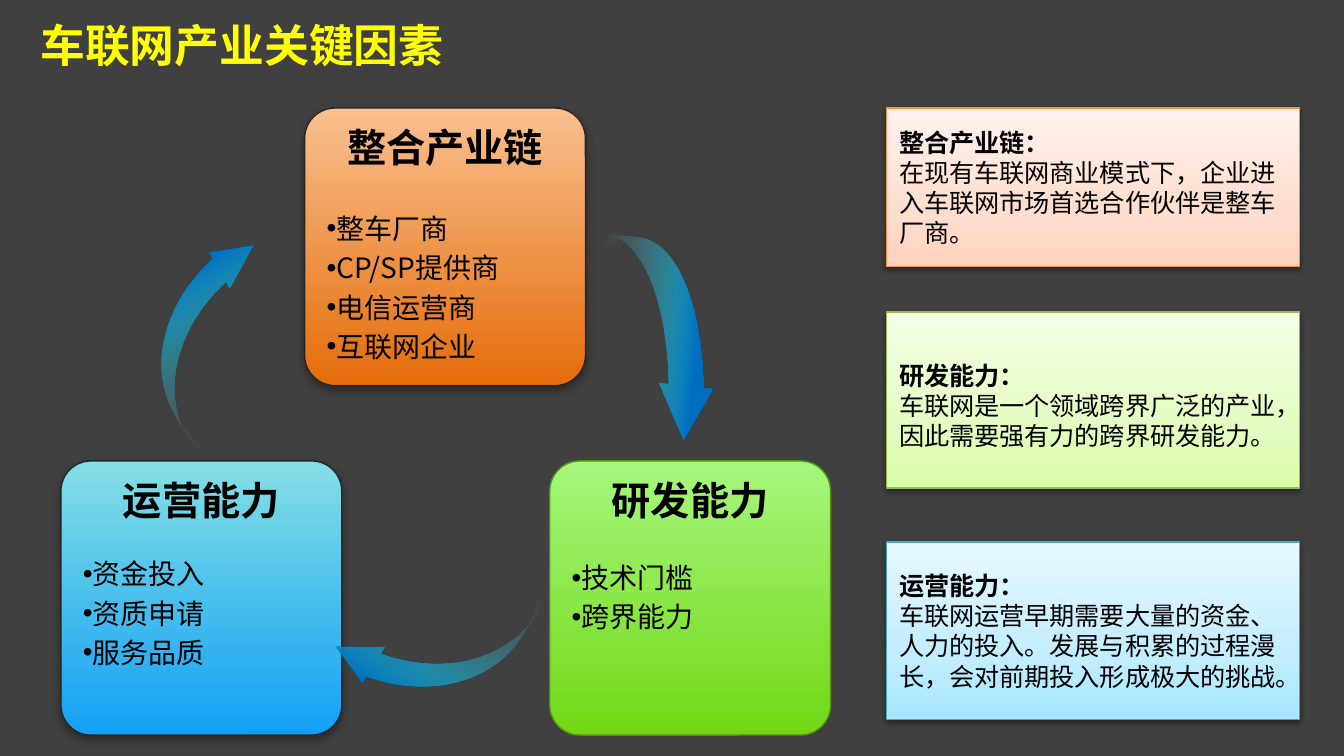
from lxml import etree
from pptx import Presentation, util as u
from pptx.dml.color import RGBColor
from pptx.enum import shapes, text
from pptx.oxml import parse_xml
from pptx.oxml.ns import nsdecls, qn

COLORS = {
    "back": "404040", "title": "FFFF00", "ink": "000000", "edge": "262626",
    "green edge": "4F950F", "orange rim": "F69240", "lime rim": "98B955",
    "sky rim": "46AAC5",
}
CJK = "Noto Sans CJK SC"
ORANGE = [(0, "E46C0A", 100), (100, "FAC090", 100)]
BLUE = [(0, "12A0F6", 100), (100, "84DFE4", 100)]
GREEN = [(0, "72D816", 100), (100, "A6F77D", 100)]
PEACH = [(0, "FFD2BD", 100), (35, "FFDED0", 100), (100, "FFF2ED", 100)]
LIME = [(0, "DAFDA7", 100), (35, "E4FCC2", 100), (100, "F5FFE7", 100)]
SKY = [(0, "A7E6FF", 100), (35, "C1EDFF", 100), (100, "E7F8FF", 100)]
FADE = [(18, "0070C0", 100), (34, "13D6FD", 42), (59, "7FD6FF", 0), (100, "E6E6E6", 0)]

deck = Presentation()
deck.slide_width = u.Inches(10)
deck.slide_height = deck.slide_width * 9 // 16
cell = deck.slide_width // 100  # square grid, 100 columns across
page = deck.slides.add_slide(deck.slide_layouts[5])
page.background.fill.solid()
page.background.fill.fore_color.rgb = RGBColor.from_string(COLORS["back"])


def add_gradient_shape(kind, area, stops, angle, edge=None, shadow=None):
    """Area is in grid cells, stops are (place, colour, opacity) in percent,
    shadow is (opacity in percent, blur and distance in points)."""
    shape = page.shapes.add_shape(kind, *[round(cell * n) for n in area])
    shape.shadow.inherit = False
    if edge:
        shape.line.color.rgb = RGBColor.from_string(COLORS[edge])
        shape.line.width = u.Pt(0.75)
    else:
        shape.line.fill.background()
    marks = "".join(
        f'<a:gs pos="{place * 1000}"><a:srgbClr val="{color}">'
        f'<a:alpha val="{alpha * 1000}"/></a:srgbClr></a:gs>'
        for place, color, alpha in stops)
    properties = shape._element.spPr
    properties.find(qn("a:prstGeom")).addnext(parse_xml(
        f'<a:gradFill {nsdecls("a")} rotWithShape="1"><a:gsLst>{marks}</a:gsLst>'
        f'<a:lin ang="{angle * 60000}" scaled="0"/></a:gradFill>'))
    if shadow:
        alpha, blur, distance = shadow
        properties.find(qn("a:effectLst")).append(parse_xml(
            f'<a:outerShdw {nsdecls("a")} blurRad="{u.Pt(blur)}" dist="{u.Pt(distance)}" '
            f'dir="5400000" rotWithShape="0"><a:srgbClr val="{COLORS["ink"]}">'
            f'<a:alpha val="{alpha * 1000}"/></a:srgbClr></a:outerShdw>'))
    return shape


def add_span(para, words, size, bold, font, color="ink"):
    span = para.add_run()
    span.text = words
    span.font.size, span.font.bold, span.font.name = u.Pt(size), bold, font
    span.font.color.rgb = RGBColor.from_string(COLORS[color])
    if font == CJK:
        etree.SubElement(span._r.rPr, qn("a:ea"), typeface=font)


title = page.shapes.title
title.left, title.top = cell * 2, round(cell * -0.2)
title.width, title.height = round(cell * 80.7), cell * 7
title.text_frame.vertical_anchor = text.MSO_ANCHOR.MIDDLE
para = title.text_frame.paragraphs[0]
para.alignment = text.PP_ALIGN.LEFT
add_span(para, "车联网产业关键因素", 24, True, CJK, "title")

# Cycle cards: area, fill, edge, shadow, heading, gap under heading, items
soft = (35, 5, 1.8)
cards = [
    ((22.66, 8.04, 20.9, 20.66), ORANGE, "edge", soft, "整合产业链", 22,
     ["整车厂商", "CP/SP提供商", "电信运营商", "互联网企业"]),
    ((4.53, 34.3, 20.9, 20.4), BLUE, "edge", soft, "运营能力", 18,
     ["资金投入", "资质申请", "服务品质"]),
    ((40.9, 34.3, 20.9, 20.4), GREEN, "green edge", None, "研发能力", 20,
     ["技术门槛", "跨界能力"]),
]
for area, stops, edge, shadow, heading, gap, items in cards:
    card = add_gradient_shape(shapes.MSO_SHAPE.ROUNDED_RECTANGLE, area, stops, 270,
                              edge, shadow)
    card.adjustments[0] = 0.11
    frame = card.text_frame
    frame.word_wrap = True
    frame.vertical_anchor = text.MSO_ANCHOR.TOP
    para = frame.paragraphs[0]
    para.alignment = text.PP_ALIGN.CENTER
    add_span(para, heading, 21, True, CJK)
    for number, item in enumerate(items):
        para = frame.add_paragraph()
        para.alignment = text.PP_ALIGN.LEFT
        para.space_before = u.Pt(3 if number else gap)
        bullet = para._p.get_or_add_pPr()
        etree.SubElement(bullet, qn("a:buFont"), typeface="Arial")
        etree.SubElement(bullet, qn("a:buChar"), char="•")
        add_span(para, item, 15, False, CJK)

# Arrows around the cycle
arrows = [
    ((37.9, 17.5, 15.8, 14.7), 6.1),
    ((7.92, 23, 20.7, 11.3), 240.3),
    ((24.12, 38.1, 20.7, 11.3), 122.5),
]
for area, turn in arrows:
    arrow = add_gradient_shape(shapes.MSO_SHAPE.CURVED_DOWN_ARROW, area, FADE, 180)
    arrow.rotation = turn
    for number, share in enumerate((0.18, 0.28, 0.28)):
        arrow.adjustments[number] = share

# Explanations in the right column: top, height, fill, edge, heading, body
notes = [
    (8.04, 11.8, PEACH, "orange rim", "整合产业链：",
     "在现有车联网商业模式下，企业进入车联网市场首选合作伙伴是整车厂商。"),
    (40.33, 13.2, SKY, "sky rim", "运营能力：",
     "车联网运营早期需要大量的资金、人力的投入。发展与积累的过程漫长，会对前期投入形成极大的挑战。"),
    (23.22, 13.1, LIME, "lime rim", "研发能力：",
     "车联网是一个领域跨界广泛的产业，因此需要强有力的跨界研发能力。"),
]
for top, height, stops, edge, heading, body in notes:
    box = add_gradient_shape(shapes.MSO_SHAPE.RECTANGLE, (65.94, top, 30.74, height),
                             stops, 270, edge, (38, 3.1, 1.6))
    frame = box.text_frame
    frame.word_wrap = True
    frame.vertical_anchor = text.MSO_ANCHOR.MIDDLE
    if stops is LIME:
        frame.vertical_anchor = text.MSO_ANCHOR.BOTTOM
        frame.margin_bottom = u.Inches(0.28)
    for para, words, bold in ((frame.paragraphs[0], heading, True),
                              (frame.add_paragraph(), body, False)):
        para.alignment = text.PP_ALIGN.LEFT
        add_span(para, words, 13.5, bold, "Arial")

deck.save("out.pptx")
